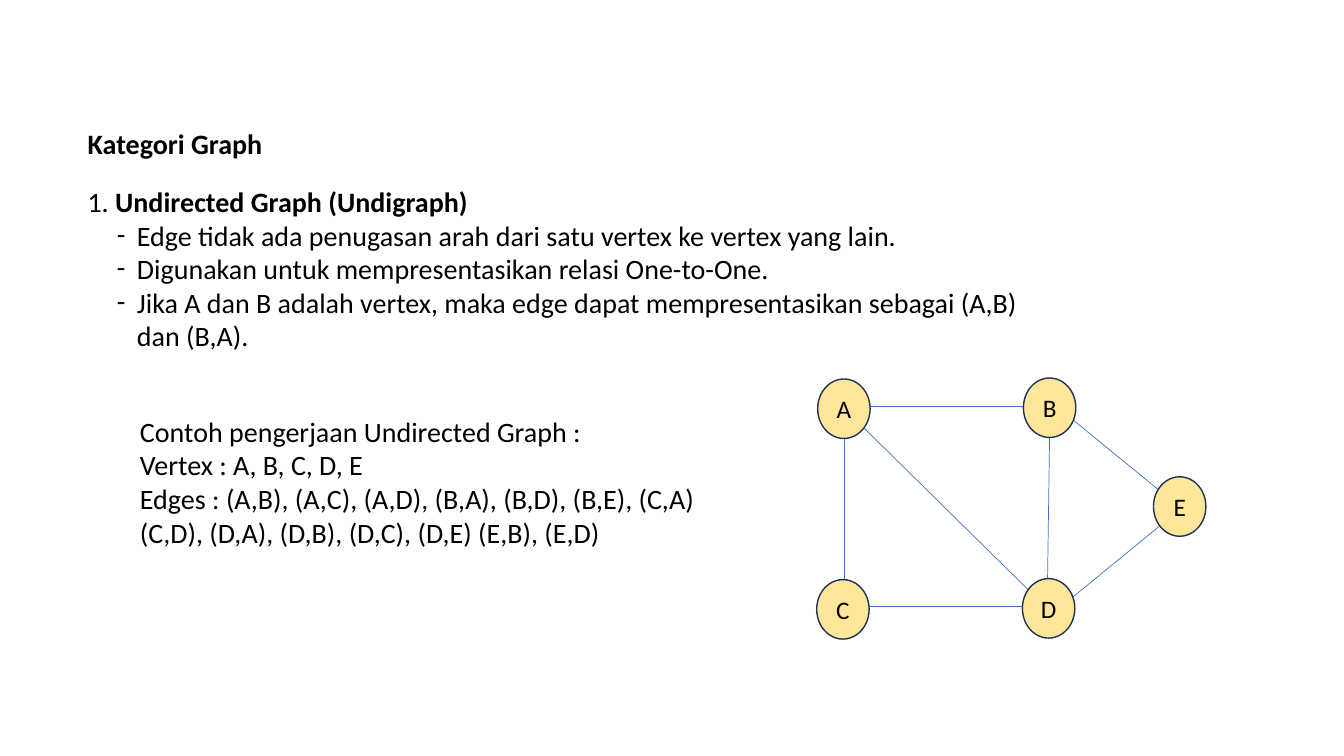
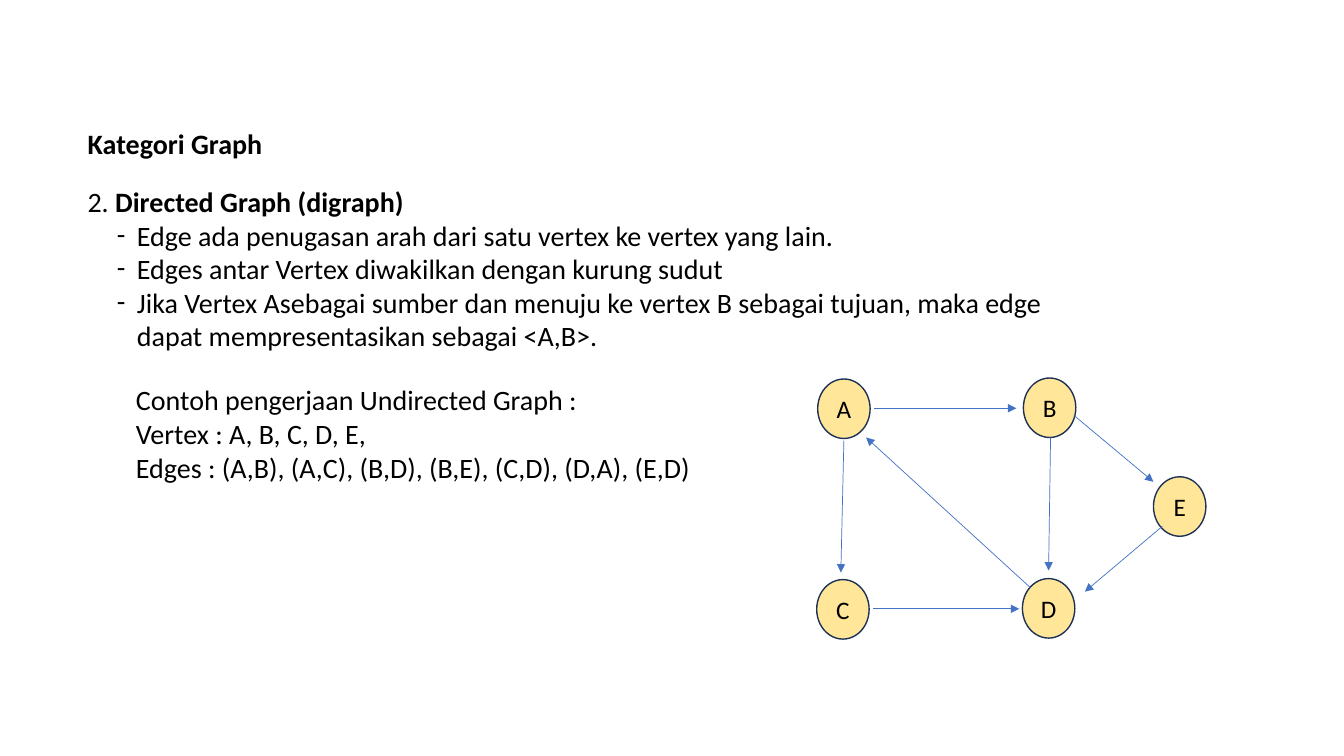
import pptx
import pptx.dml.color
import pptx.enum.shapes
import pptx.enum.text
import pptx.oxml.ns
import pptx.util
from lxml import etree

PX = 9144
FONT = "Calibri"
BLACK, EDGE, NODE, OUTLINE = "000000", "4472C4", "FFE699", "1E3256"
NODE_SIZE = (52, 59)
NODES = {"A": (811, 376), "B": (1015, 375), "C": (810, 575),
         "D": (1014, 574), "E": (1144, 473)}

UNDIRECTED_EDGES = [
    (838, 406, 1037, 602), (1051, 603, 1172, 504), (1050, 405, 1170, 503),
    (834, 602, 1040, 602), (835, 403, 1042, 403), (837, 575, 837, 435),
    (1039, 574, 1041, 434)]
DIRECTED_EDGES = [
    (837, 437, 834, 568), (1042, 434, 1040, 566), (867, 405, 1008, 405),
    (1022, 583, 859, 434), (1065, 412, 1144, 478), (1153, 522, 1076, 587),
    (866, 604, 1011, 604)]


def px(length):
    return pptx.util.Emu(length * PX)


def color(value):
    return pptx.dml.color.RGBColor.from_string(value)


class GraphDeck:
    """Holds the shared style and the slide being built."""

    def __init__(self):
        self.deck = pptx.Presentation()
        self.deck.slide_width, self.deck.slide_height = px(1333), px(750)
        self.slide = None

    def style(self, paragraph, size=20, bold=False):
        font = paragraph.font
        font.name, font.size, font.bold = FONT, pptx.util.Pt(size), bold
        font.color.rgb = color(BLACK)

    def start(self, heading):
        self.slide = self.deck.slides.add_slide(self.deck.slide_layouts[5])
        title = self.slide.shapes.title
        title.left, title.top, title.width, title.height = map(px, (77, 120, 195, 44))
        frame = title.text_frame
        frame.text = heading
        frame.word_wrap = False
        frame.auto_size = pptx.enum.text.MSO_AUTO_SIZE.NONE
        frame.vertical_anchor = pptx.enum.text.MSO_ANCHOR.TOP
        frame.paragraphs[0].alignment = pptx.enum.text.PP_ALIGN.LEFT
        self.style(frame.paragraphs[0], bold=True)

    def text_box(self, box, wrap):
        frame = self.slide.shapes.add_textbox(*map(px, box)).text_frame
        frame.word_wrap = wrap
        return frame

    def category(self, number, name, points):
        frame = self.text_box((77, 178, 984, 178), True)
        heading = frame.paragraphs[0]
        heading.add_run().text = f"{number}. "
        category_name = heading.add_run()
        category_name.text = name
        category_name.font.bold = True
        self.style(heading)
        for point in points:
            paragraph = frame.add_paragraph()
            paragraph.text = point
            self.bullet(paragraph)
            self.style(paragraph)

    def bullet(self, paragraph):
        properties = paragraph._p.get_or_add_pPr()
        properties.set("marL", str(px(49)))
        properties.set("indent", str(px(-20)))
        qn = pptx.oxml.ns.qn
        etree.SubElement(properties, qn("a:buFont"), typeface=FONT)
        etree.SubElement(properties, qn("a:buChar"), char="-")

    def example(self, box, lines):
        frame = self.text_box(box, False)
        frame.text = "\n".join(lines)
        for paragraph in frame.paragraphs:
            self.style(paragraph)

    def nodes(self):
        for label, corner in NODES.items():
            node = self.slide.shapes.add_shape(
                pptx.enum.shapes.MSO_SHAPE.OVAL, *map(px, corner + NODE_SIZE))
            node.shadow.inherit = False
            node.fill.solid()
            node.fill.fore_color.rgb = color(NODE)
            node.line.color.rgb = color(OUTLINE)
            node.line.width = pptx.util.Pt(1)
            frame = node.text_frame
            frame.margin_left = frame.margin_right = 0
            frame.margin_top = frame.margin_bottom = 0
            frame.word_wrap = False
            frame.vertical_anchor = pptx.enum.text.MSO_ANCHOR.MIDDLE
            frame.text = label
            frame.paragraphs[0].alignment = pptx.enum.text.PP_ALIGN.CENTER
            self.style(frame.paragraphs[0], size=18)

    def edges(self, ends, directed=False):
        qn = pptx.oxml.ns.qn
        for points in ends:
            edge = self.slide.shapes.add_connector(
                pptx.enum.shapes.MSO_CONNECTOR.STRAIGHT, *map(px, points))
            edge.line.color.rgb = color(EDGE)
            edge.line.width = pptx.util.Pt(0.5)
            if directed:
                etree.SubElement(edge.line._get_or_add_ln(), qn("a:tailEnd"), type="triangle")
            etree.SubElement(edge._element.spPr, qn("a:effectLst"))


def main():
    graphs = GraphDeck()

    graphs.start("Kategori Graph")
    graphs.category(1, "Undirected Graph (Undigraph)", [
        "Edge tidak ada penugasan arah dari satu vertex ke vertex yang lain.",
        "Digunakan untuk mempresentasikan relasi One-to-One.",
        "Jika A dan B adalah vertex, maka edge dapat mempresentasikan sebagai (A,B) dan (B,A)."])
    graphs.example((129, 406, 576, 175), [
        "Contoh pengerjaan Undirected Graph :",
        "Vertex : A, B, C, D, E",
        "Edges : (A,B), (A,C), (A,D), (B,A), (B,D), (B,E), (C,A)",
        "(C,D), (D,A), (D,B), (D,C), (D,E) (E,B), (E,D)"])
    graphs.edges(UNDIRECTED_EDGES)
    graphs.nodes()

    graphs.start("Kategori Graph")
    graphs.category(2, "Directed Graph (digraph)", [
        "Edge ada penugasan arah dari satu vertex ke vertex yang lain.",
        "Edges antar Vertex diwakilkan dengan kurung sudut",
        "Jika Vertex Asebagai sumber dan menuju ke vertex B sebagai tujuan, "
        "maka edge dapat mempresentasikan sebagai <A,B>."])
    graphs.example((125, 375, 575, 172), [
        "Contoh pengerjaan Undirected Graph :",
        "Vertex : A, B, C, D, E,",
        "Edges : (A,B), (A,C), (B,D), (B,E), (C,D), (D,A), (E,D)"])
    graphs.nodes()
    graphs.edges(DIRECTED_EDGES, directed=True)

    graphs.deck.save("out.pptx")


if __name__ == "__main__":
    main()
